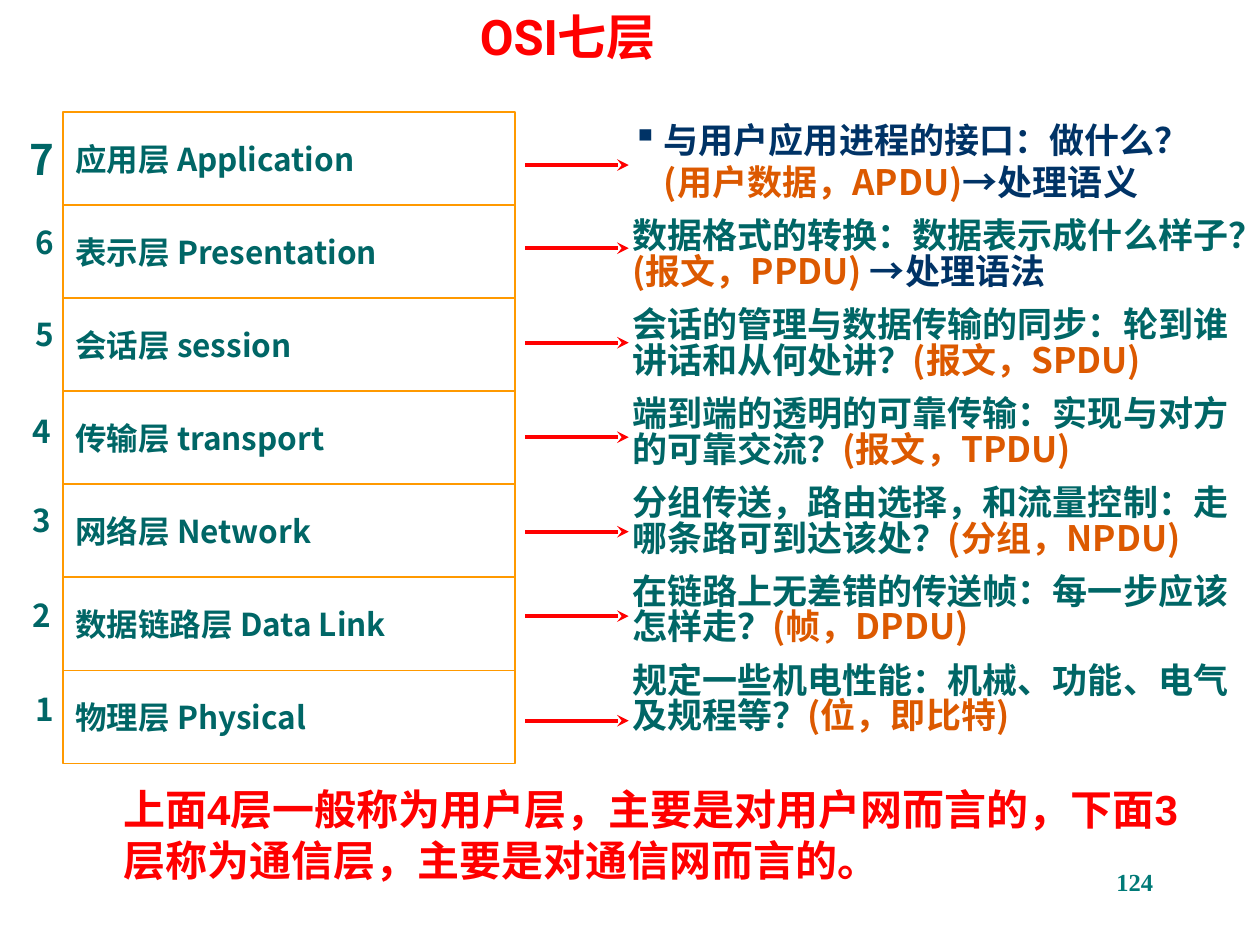
from lxml import etree
from pptx import Presentation
from pptx import util as u
from pptx.dml.color import RGBColor
from pptx.enum import shapes, text
from pptx.oxml import ns

RED = RGBColor(0xFF, 0x00, 0x00)
TEAL = RGBColor(0x00, 0x66, 0x66)
NAVY = RGBColor(0x00, 0x33, 0x66)
RUST = RGBColor(0xDC, 0x59, 0x00)
AMBER = RGBColor(0xFF, 0x99, 0x00)
PAGE_TEAL = RGBColor(0x00, 0x7A, 0x77)
HAN = "Noto Sans CJK SC"

# Layer name, top of its number, height of its arrow
LAYERS = [
    ("应用层 Application", 0.97, 1.31),
    ("表示层 Presentation", 1.72, 1.97),
    ("会话层 session", 2.45, 2.72),
    ("传输层 transport", 3.22, 3.47),
    ("网络层 Network", 3.93, 4.22),
    ("数据链路层 Data Link", 4.68, 4.89),
    ("物理层 Physical", 5.43, 5.72),
]

# What each layer does, its data unit, its concern
DUTIES = [
    ("与用户应用进程的接口：做什么？", "(用户数据，APDU)", "→处理语义"),
    ("数据格式的转换：数据表示成什么样子？", "(报文，PPDU) ", "→处理语法"),
    ("会话的管理与数据传输的同步：轮到谁讲话和从何处讲？", "(报文，SPDU)", ""),
    ("端到端的透明的可靠传输：实现与对方的可靠交流？", "(报文，TPDU)", ""),
    ("分组传送，路由选择，和流量控制：走哪条路可到达该处？", "(分组，NPDU)", ""),
    ("在链路上无差错的传送帧：每一步应该怎样走？", "(帧，DPDU)", ""),
    ("规定一些机电性能：机械、功能、电气及规程等？", "(位，即比特)", ""),
]


def add_run(paragraph, content, size=18, color=TEAL, font=HAN):
    run = paragraph.add_run()
    run.text = content
    run.font.size = u.Pt(size)
    run.font.bold = True
    run.font.color.rgb = color
    run.font.name = font
    # East Asian typeface for the Chinese characters
    east_asian = etree.SubElement(run.font._element, ns.qn("a:ea"))
    east_asian.set("typeface", HAN)


def set_indent(paragraph, left, first=0, bullet=None):
    properties = paragraph._p.get_or_add_pPr()
    properties.set("marL", str(u.Inches(left)))
    properties.set("indent", str(u.Inches(first)))
    if bullet:
        etree.SubElement(properties, ns.qn("a:buChar")).set("char", bullet)


class LayerSlide:
    def __init__(self, slide):
        self.slide = slide

    def textbox(self, left, top, width, height, wrap=True):
        box = self.slide.shapes.add_textbox(*map(u.Inches, (left, top, width, height)))
        box.text_frame.word_wrap = wrap
        return box.text_frame

    def label(self, content, bounds, align=text.PP_ALIGN.LEFT, wrap=True, indent=0, **style):
        paragraph = self.textbox(*bounds, wrap=wrap).paragraphs[0]
        paragraph.alignment = align
        if indent:
            set_indent(paragraph, indent)
        add_run(paragraph, content, **style)
        return paragraph

    def layer(self, name, top, height):
        box = self.slide.shapes.add_shape(
            shapes.MSO_SHAPE.RECTANGLE, *map(u.Inches, (0.5, top, 3.59, height)))
        box.shadow.inherit = False
        box.fill.background()
        box.line.color.rgb = AMBER
        box.line.width = u.Pt(1)
        frame = box.text_frame
        frame.word_wrap = False
        frame.vertical_anchor = text.MSO_ANCHOR.MIDDLE
        frame.paragraphs[0].alignment = text.PP_ALIGN.LEFT
        add_run(frame.paragraphs[0], name)

    def arrow(self, y):
        arrow = self.slide.shapes.add_connector(
            shapes.MSO_CONNECTOR.STRAIGHT, *map(u.Inches, (4.17, y, 4.99, y)))
        arrow.line.color.rgb = RED
        arrow.line.width = u.Pt(2.25)
        etree.SubElement(arrow.line._get_or_add_ln(), ns.qn("a:tailEnd")).set("type", "stealth")
        etree.SubElement(arrow._element.spPr, ns.qn("a:effectLst"))

    def duties(self, rows):
        frame = self.textbox(4.92, 0.89, 5, 5.22)
        for index, (duty, unit, concern) in enumerate(rows):
            if index == 0:
                paragraph = frame.paragraphs[0]
                set_indent(paragraph, 0.25, -0.25, "▪")
            else:
                paragraph = frame.add_paragraph()
                paragraph.line_spacing = 0.85
                paragraph.space_before = u.Pt(10)
            add_run(paragraph, duty, size=20, color=TEAL if index else NAVY)
            add_run(paragraph, unit, size=20, color=RUST)
            if concern:
                add_run(paragraph, concern, size=20, color=NAVY)


def main():
    deck = Presentation()
    deck.slide_width, deck.slide_height = u.Inches(10), u.Inches(7.5)
    page = LayerSlide(deck.slides.add_slide(deck.slide_layouts[6]))

    # Page number and descriptions
    page.label("124", (7.17, 6.83, 2.08, 0.5), align=text.PP_ALIGN.RIGHT,
               size=14, color=PAGE_TEAL, font="Times New Roman")
    page.duties(DUTIES)

    # Layer stack with numbers and arrows
    pitch = 5.17 / len(LAYERS)
    for index, (name, number_top, arrow_y) in enumerate(LAYERS):
        number = len(LAYERS) - index
        page.layer(name, 0.89 + index * pitch, pitch)
        if index == 0:
            top_number = page.label(str(number), (0, number_top, 0.53, 0.54),
                                    align=text.PP_ALIGN.RIGHT, size=24)
            top_number.line_spacing = 1.1
        else:
            left = 0.15 if number in (2, 3, 4) else 0.17
            page.label(str(number), (left, number_top, 0.37, 0.5),
                       align=text.PP_ALIGN.CENTER, wrap=False)
        page.arrow(arrow_y)

    # Title and summary
    page.label("OSI七层", (3.71, 0, 1.73, 0.57), wrap=False,
               size=28, color=RED, font="Roboto")
    page.label("上面4层一般称为用户层，主要是对用户网而言的，下面3层称为通信层，主要是对通信网而言的。",
               (-0.12, 6.17, 9.84, 0.91), indent=1, size=24, color=RED, font="Arial")

    deck.save("out.pptx")


if __name__ == "__main__":
    main()
